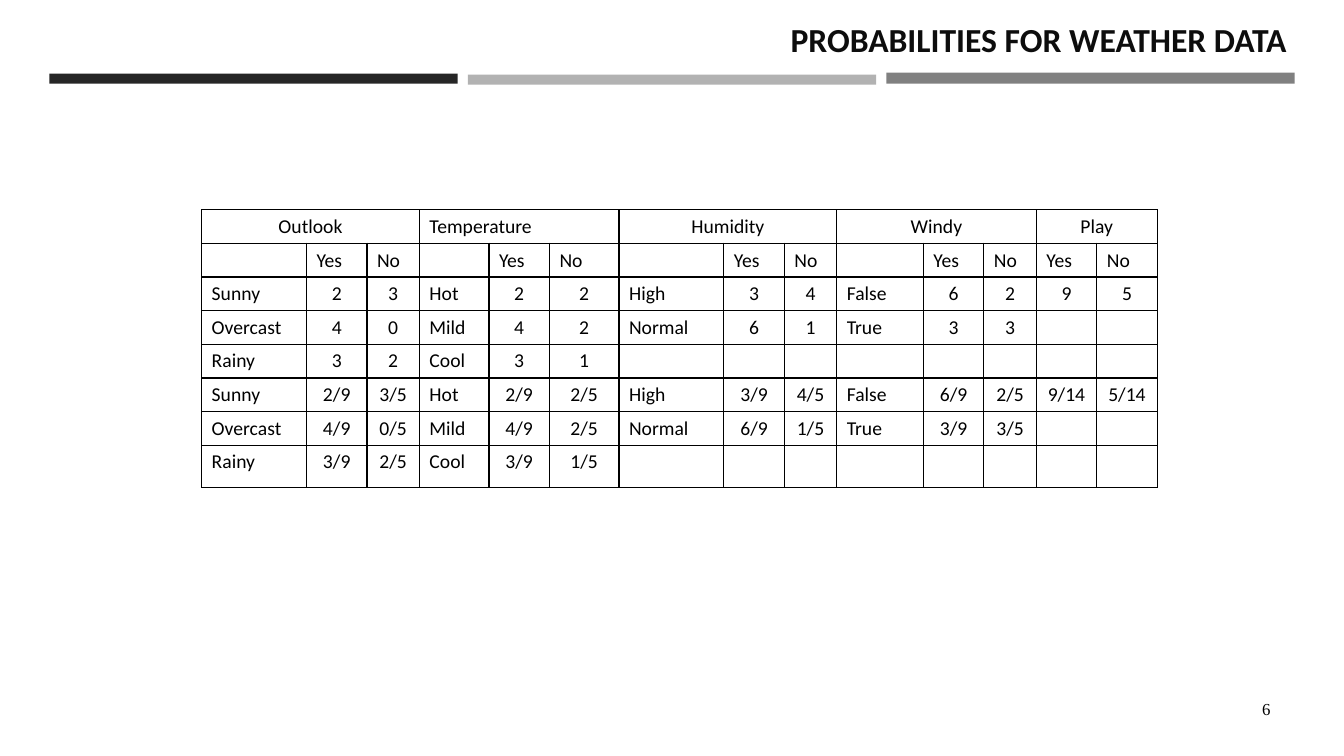
from lxml.etree import SubElement
from pptx import Presentation
from pptx.dml.color import RGBColor
from pptx.enum.shapes import MSO_SHAPE
from pptx.enum.text import MSO_ANCHOR, PP_ALIGN
from pptx.oxml.ns import qn
from pptx.util import Pt

PX = 9144
BLACK = RGBColor(0x00, 0x00, 0x00)
INK = RGBColor(0x0D, 0x0D, 0x0D)
CHARCOAL = RGBColor(0x26, 0x26, 0x26)
SILVER = RGBColor(0xB2, 0xB2, 0xB2)
GRAY = RGBColor(0x80, 0x80, 0x80)

COLUMNS = [104, 60, 52, 69, 60, 69, 104, 60, 52, 86, 60, 52, 60, 60]
ROWS = [33] * 7 + [42]
GROUPS = [("Outlook", 0, 2), ("Temperature", 3, 5), ("Humidity", 6, 8),
          ("Windy", 9, 11), ("Play", 12, 13)]
BODY = [
    "|Yes|No||Yes|No||Yes|No||Yes|No|Yes|No",
    "Sunny|2|3|Hot|2|2|High|3|4|False|6|2|9|5",
    "Overcast|4|0|Mild|4|2|Normal|6|1|True|3|3||",
    "Rainy|3|2|Cool|3|1||||||||",
    "Sunny|2/9|3/5|Hot|2/9|2/5|High|3/9|4/5|False|6/9|2/5|9/14|5/14",
    "Overcast|4/9|0/5|Mild|4/9|2/5|Normal|6/9|1/5|True|3/9|3/5||",
    "Rainy|3/9|2/5|Cool|3/9|1/5||||||||",
]


def write(tf, text, size=14, font="Calibri", color=BLACK, bold=False, align=PP_ALIGN.LEFT):
    p = tf.paragraphs[0]
    p.alignment = align
    if not text:
        SubElement(p._p, qn("a:endParaRPr"), sz=str(size * 100))
        return
    r = p.add_run()
    r.text = text
    r.font.size = Pt(size)
    r.font.name = font
    r.font.bold = bold
    r.font.color.rgb = color


class Deck:
    def __init__(self, width, height):
        self.prs = Presentation()
        self.prs.slide_width = width * PX
        self.prs.slide_height = height * PX
        self.s = self.prs.slides.add_slide(self.prs.slide_layouts[6])

    def bar(self, x, y, w, h, color):
        sp = self.s.shapes.add_shape(MSO_SHAPE.RECTANGLE, x * PX, y * PX, w * PX, h * PX)
        sp.shadow.inherit = False
        sp.fill.solid()
        sp.fill.fore_color.rgb = color
        sp.line.fill.background()

    def text(self, x, y, w, h, text, **style):
        tf = self.s.shapes.add_textbox(x * PX, y * PX, w * PX, h * PX).text_frame
        tf.word_wrap = True
        tf.vertical_anchor = MSO_ANCHOR.MIDDLE
        write(tf, text, **style)

    def border(self, cell):
        tc_pr = cell._tc.get_or_add_tcPr()
        for side in "LRTB":
            ln = SubElement(tc_pr, qn(f"a:ln{side}"), w=str(Pt(1)))
            fill = SubElement(ln, qn("a:solidFill"))
            SubElement(fill, qn("a:srgbClr"), val=str(BLACK))

    def table(self, x, y, columns, rows, groups, body):
        frame = self.s.shapes.add_table(len(rows), len(columns), x * PX, y * PX,
                                        sum(columns) * PX, sum(rows) * PX)
        table = frame.table
        table.first_row = table.horz_banding = False
        for column, w in zip(table.columns, columns):
            column.width = w * PX
        for row, h in zip(table.rows, rows):
            row.height = h * PX
        for cell in table.iter_cells():
            self.border(cell)
            cell.fill.background()
        for name, first, last in groups:
            table.cell(0, first).merge(table.cell(0, last))
            align = PP_ALIGN.LEFT if name == "Temperature" else PP_ALIGN.CENTER
            write(table.cell(0, first).text_frame, name, align=align)
        for i, line in enumerate(body, 1):
            for j, value in enumerate(line.split("|")):
                align = PP_ALIGN.CENTER if value[:1].isdigit() else PP_ALIGN.LEFT
                write(table.cell(i, j).text_frame, value, align=align)


def main():
    deck = Deck(1333, 750)
    deck.bar(49, 73, 405, 10, CHARCOAL)
    deck.bar(879, 72, 405, 11, GRAY)
    deck.bar(464, 74, 405, 10, SILVER)
    deck.text(36, 13, 1250, 51, "PROBABILITIES FOR WEATHER DATA", size=24,
              color=INK, bold=True, align=PP_ALIGN.RIGHT)
    deck.text(1155, 683, 115, 40, "6", size=12, font="Times New Roman",
              align=PP_ALIGN.RIGHT)
    deck.table(200, 208, COLUMNS, ROWS, GROUPS, BODY)
    deck.prs.save("out.pptx")


if __name__ == "__main__":
    main()
